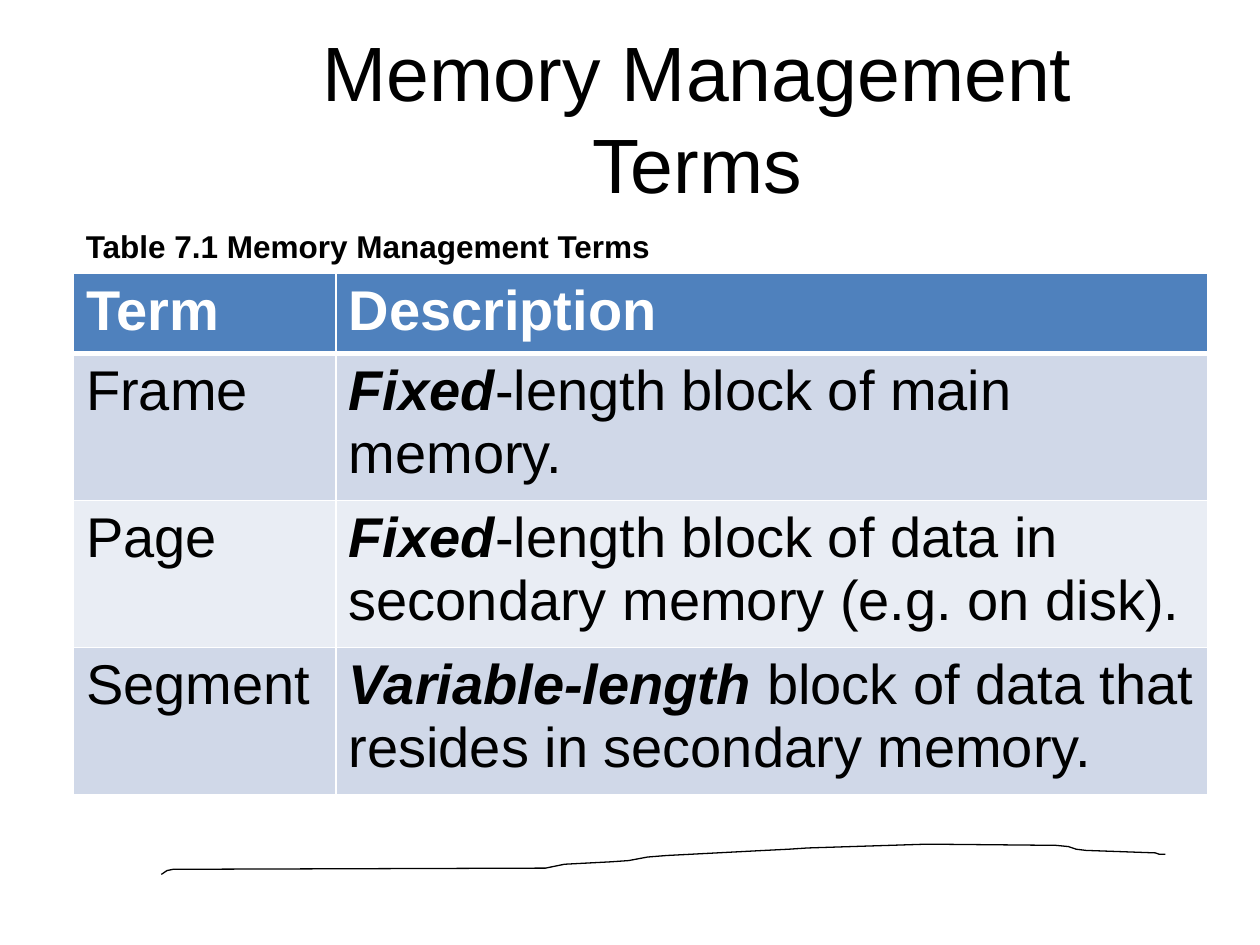
from lxml import etree
from pptx import Presentation
from pptx.dml.color import RGBColor
from pptx.enum.text import MSO_ANCHOR, PP_ALIGN
from pptx.oxml.ns import qn
from pptx.util import Pt

MIDDLE = MSO_ANCHOR.MIDDLE
CENTER = PP_ALIGN.CENTER
FONT = "Arial"
COLORS = {
    "text": "000000",
    "white": "FFFFFF",
    "header": "4F81BD",
    "odd": "D0D8E8",
    "even": "E9EDF4",
}


def add_span(para, text, size, color="text", bold=False, italic=False):
    span = para.add_run()
    span.text = text
    span.font.name = FONT
    span.font.size = Pt(size)
    span.font.bold = bold
    span.font.italic = italic
    span.font.color.rgb = RGBColor.from_string(COLORS[color])


def add_borders(cell, bottom_width):
    """Draw white cell borders; they must come before the fill in the XML."""
    widths = {"a:lnL": 1, "a:lnR": 1, "a:lnT": 1, "a:lnB": bottom_width}
    properties = cell._tc.get_or_add_tcPr()
    for index, (tag, width) in enumerate(widths.items()):
        line = etree.Element(qn(tag), w=str(Pt(width)))
        fill = etree.SubElement(line, qn("a:solidFill"))
        etree.SubElement(fill, qn("a:srgbClr"), val=COLORS["white"])
        properties.insert(index, line)


deck = Presentation()
deck.slide_width, deck.slide_height = Pt(720), Pt(540)
page = deck.slides.add_slide(deck.slide_layouts[6])

# Hand-drawn line near the bottom
stroke_points = [
    (92.2, 499.7), (95.5, 497.5), (99, 496.8), (311.8, 496.1),
    (322.6, 493.9), (349.2, 492.5), (359.3, 491.8), (370, 489.8),
    (380.9, 488.9), (394.6, 488.2), (437, 486), (450.7, 485.3),
    (461.5, 484.6), (529.9, 482.4), (603.4, 483.1), (610.6, 483.8),
    (615, 485.3), (620.6, 486), (660.2, 487.4), (662.5, 488.2), (666, 488.2),
]
points = [(Pt(x), Pt(y)) for x, y in stroke_points]
builder = page.shapes.build_freeform(*points[0])
builder.add_line_segments(points[1:], close=False)
stroke = builder.convert_to_shape()
stroke.shadow.inherit = False
stroke.fill.background()
stroke.line.color.rgb = RGBColor.from_string(COLORS["text"])
stroke.line.width = Pt(0.75)

# Title
title = page.shapes.add_textbox(Pt(114), Pt(21.6), Pt(569), Pt(90))
title.text_frame.word_wrap = True
title.text_frame.vertical_anchor = MIDDLE
para = title.text_frame.paragraphs[0]
para.alignment = CENTER
add_span(para, "Memory Management Terms", 44)

# Table of terms: each cell is a list of (text, emphasised) spans
rows = [
    ([("Term", False)], [("Description", False)]),
    ([("Frame", False)],
     [("Fixed", True), ("-length block of main memory.", False)]),
    ([("Page", False)],
     [("Fixed", True),
      ("-length block of data in secondary memory (e.g. on disk).", False)]),
    ([("Segment", False)],
     [("Variable-length", True),
      (" block of data that resides in secondary memory.", False)]),
]
table = page.shapes.add_table(
    len(rows), 2, Pt(42), Pt(156.2), Pt(648), Pt(280)).table
for column, width in zip(table.columns, (150, 498)):
    column.width = Pt(width)
for row_index, row in enumerate(rows):
    is_header = row_index == 0
    table.rows[row_index].height = Pt(43 if is_header else 79)
    fill = "header" if is_header else ("odd" if row_index % 2 else "even")
    for column_index, spans in enumerate(row):
        cell = table.cell(row_index, column_index)
        cell.fill.solid()
        cell.fill.fore_color.rgb = RGBColor.from_string(COLORS[fill])
        add_borders(cell, 3 if is_header else 1)
        for text, emphasised in spans:
            add_span(cell.text_frame.paragraphs[0], text, 32,
                     "white" if is_header else "text",
                     bold=is_header or emphasised, italic=emphasised)

# Table caption
caption = page.shapes.add_textbox(Pt(42), Pt(126), Pt(340), Pt(29))
caption.text_frame.word_wrap = False
add_span(caption.text_frame.paragraphs[0],
         "Table 7.1 Memory Management Terms", 18, bold=True)

deck.save("out.pptx")
